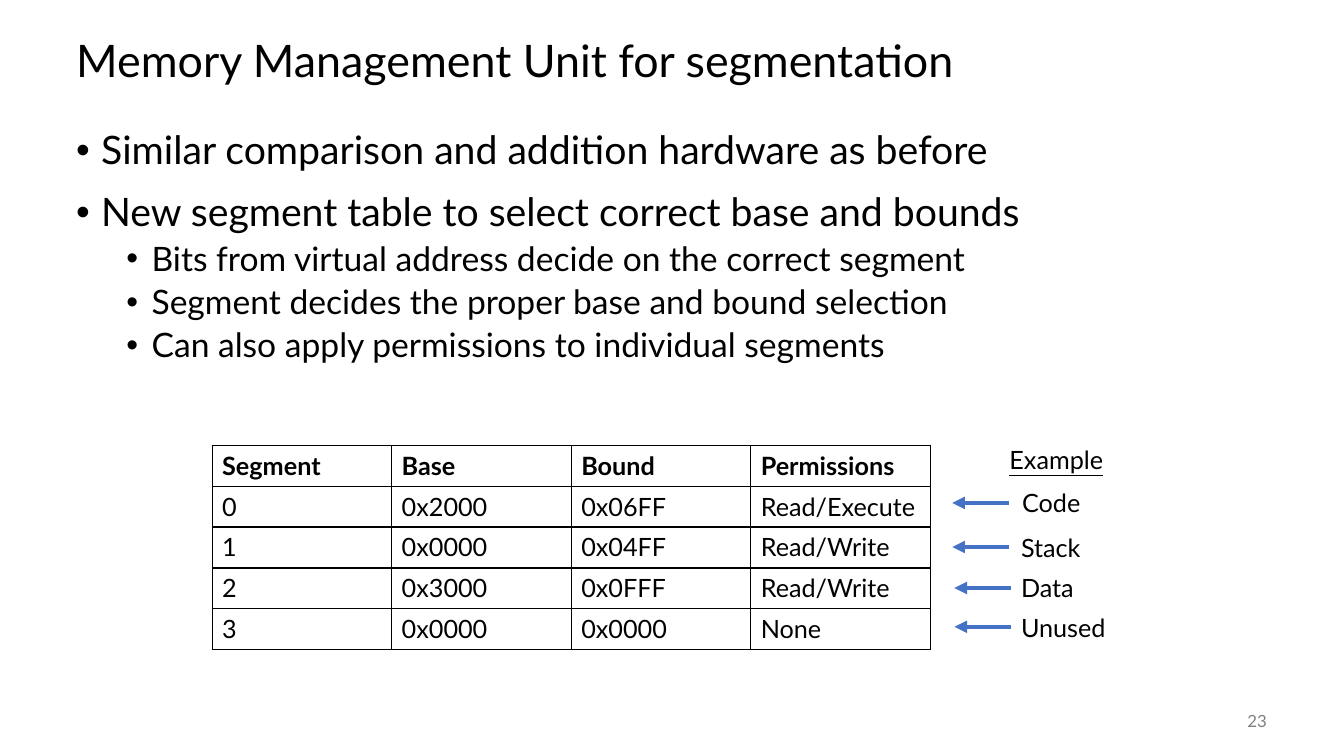
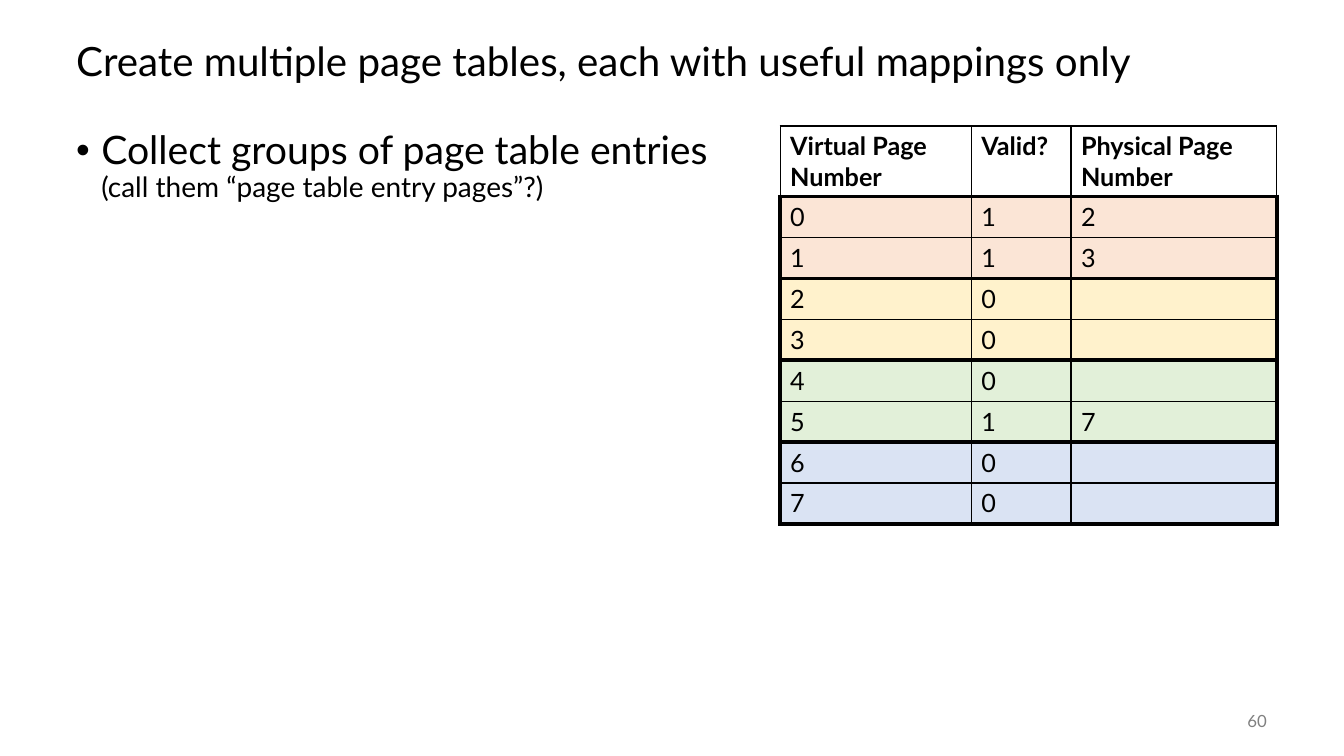
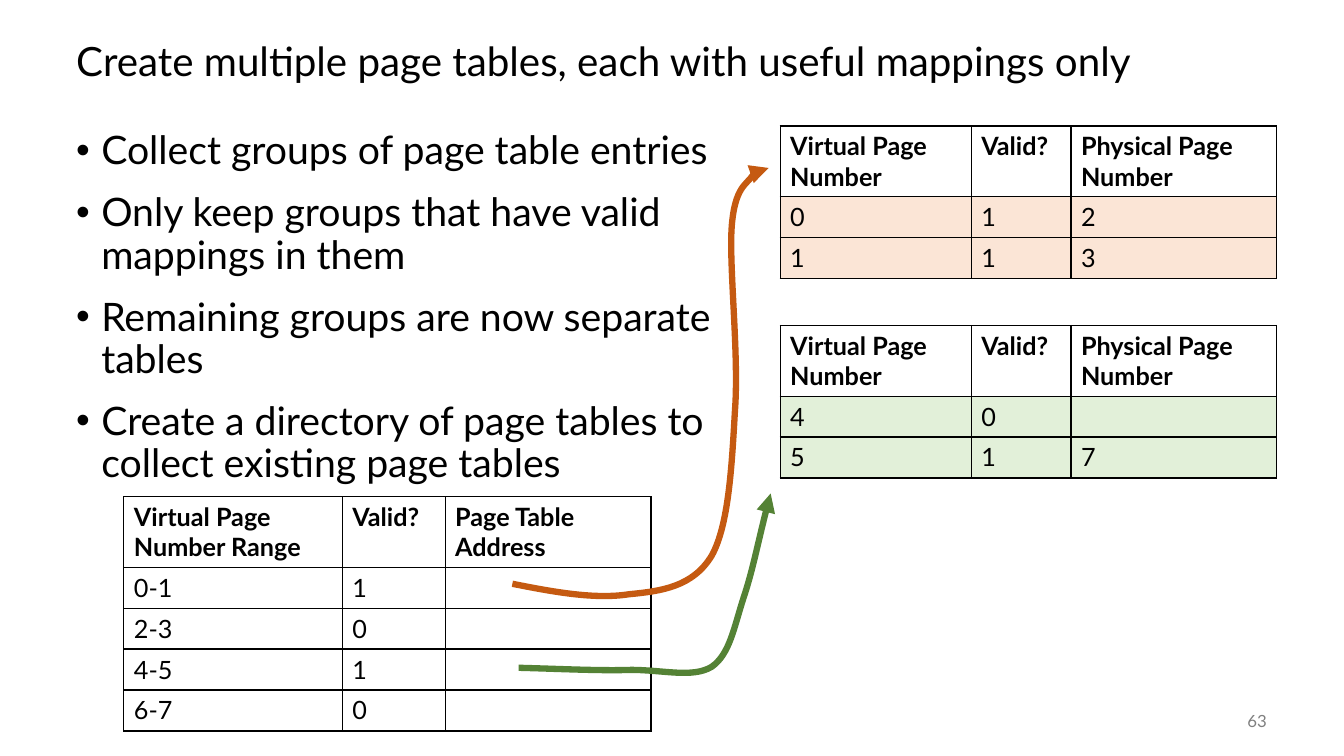
"""Build three slides on memory segmentation and multi-level page tables."""
from lxml import etree
from pptx import Presentation
from pptx.dml.color import RGBColor
from pptx.enum import shapes, text
from pptx.oxml.ns import qn
from pptx.util import Pt

PX = 9525
FONT = "Lato"
BLACK = RGBColor(0x00, 0x00, 0x00)
WHITE = RGBColor(0xFF, 0xFF, 0xFF)
GRAY = RGBColor(0x80, 0x80, 0x80)
BLUE = RGBColor(0x44, 0x72, 0xC4)
ORANGE = RGBColor(0xC5, 0x5A, 0x11)
GREEN = RGBColor(0x54, 0x82, 0x35)
PEACH = RGBColor(0xFB, 0xE5, 0xD6)
CREAM = RGBColor(0xFF, 0xF2, 0xCC)
MINT = RGBColor(0xE2, 0xF0, 0xD9)
SKY = RGBColor(0xDA, 0xE3, 0xF3)
LEFT, TOP, WIDTH = 63, 120, 1152
HEADER_H, ROW_H = 67, 39


def write(tf, words, size=18, color=BLACK, bold=False, underline=False,
          align=text.PP_ALIGN.LEFT, spacing=None, before=0, bullet=None):
    """Fill the empty first paragraph of a text frame, or add another one."""
    first = not tf.paragraphs[0].runs
    p = tf.paragraphs[0] if first else tf.add_paragraph()
    if bullet is not None:
        p.level = bullet
        pPr = p._p.get_or_add_pPr()
        pPr.set("marL", str((24 + 48 * bullet) * PX))
        pPr.set("indent", str(-24 * PX))
        etree.SubElement(pPr, qn("a:buFont")).set("typeface", "Arial")
        etree.SubElement(pPr, qn("a:buChar")).set("char", "•")
    p.alignment = align
    if spacing:
        p.line_spacing = spacing
    p.space_before = Pt(0 if first else before)
    r = p.add_run()
    r.text = words
    r.font.name, r.font.size, r.font.color.rgb = FONT, Pt(size), color
    r.font.bold, r.font.underline = bold, underline
    return p


def add_grid(s, x, y, cols, rows, fills, header_h=HEADER_H, paired=False):
    """Add a ruled table; paired draws a heavy frame round every two rows."""
    height = header_h + ROW_H * (len(rows) - 1)
    table = s.shapes.add_table(len(rows), len(cols), x * PX, y * PX,
                               sum(cols) * PX, height * PX).table
    table.first_row = table.horz_banding = False
    for col, width in zip(table.columns, cols):
        col.width = width * PX
    for i, row in enumerate(rows):
        table.rows[i].height = (ROW_H if i else header_h) * PX
        for j, words in enumerate(row):
            cell = table.cell(i, j)
            heavy = {"L": i and j == 0, "R": i and j == len(cols) - 1,
                     "T": i % 2 == 1, "B": i % 2 == 0}
            tcPr = cell._tc.get_or_add_tcPr()
            for side, thick in heavy.items():
                ln = etree.SubElement(tcPr, qn("a:ln" + side))
                ln.set("w", str(Pt(3 if paired and thick else 1)))
                solid = etree.SubElement(ln, qn("a:solidFill"))
                etree.SubElement(solid, qn("a:srgbClr")).set("val", str(BLACK))
            if i and fills:
                cell.fill.solid()
                cell.fill.fore_color.rgb = fills[i - 1]
            else:
                cell.fill.background()
            if words:
                write(cell.text_frame, words, bold=i == 0)


prs = Presentation()
prs.slide_width, prs.slide_height = 1280 * PX, 720 * PX

PAGES_TITLE = "Create multiple page tables, each with useful mappings only"
outline = [
    ("Memory Management Unit for segmentation", 32, "23", WIDTH, [
        (0, "Similar comparison and addition hardware as before"),
        (0, "New segment table to select correct base and bounds"),
        (1, "Bits from virtual address decide on the correct segment"),
        (1, "Segment decides the proper base and bound selection"),
        (1, "Can also apply permissions to individual segments")]),
    (PAGES_TITLE, 28.8, "60", 665, [
        (0, "Collect groups of page table entries")]),
    (PAGES_TITLE, 28.8, "63", 665, [
        (0, "Collect groups of page table entries"),
        (0, "Only keep groups that have valid mappings in them"),
        (0, "Remaining groups are now separate tables"),
        (0, "Create a directory of page tables to collect existing page tables")]),
]
slides, bodies = [], []
for title, title_size, number, body_w, bullets in outline:
    s = prs.slides.add_slide(prs.slide_layouts[5])
    sp = s.shapes.title
    sp.left, sp.top, sp.width, sp.height = LEFT * PX, 24 * PX, WIDTH * PX, 72 * PX
    tf = sp.text_frame
    tf.auto_size = text.MSO_AUTO_SIZE.NONE
    tf.vertical_anchor = text.MSO_ANCHOR.MIDDLE
    write(tf, title, size=title_size, spacing=0.9)

    tf = s.shapes.add_textbox(LEFT * PX, TOP * PX, body_w * PX, 528 * PX).text_frame
    tf.word_wrap = True
    for level, words in bullets:
        write(tf, words, size=(28, 24)[level], spacing=0.9,
              before=(14, 5)[level], bullet=level)
    bodies.append(tf)

    tf = s.shapes.add_textbox(1120 * PX, 667 * PX, 96 * PX, 38 * PX).text_frame
    tf.word_wrap = True
    tf.vertical_anchor = text.MSO_ANCHOR.MIDDLE
    write(tf, number, size=12, color=GRAY, align=text.PP_ALIGN.RIGHT)
    slides.append(s)
segments, groups, directory = slides
strokes = []

add_grid(segments, 202, 424, [171] * 4, [
    ["Segment", "Base", "Bound", "Permissions"],
    ["0", "0x2000", "0x06FF", "Read/Execute"],
    ["1", "0x0000", "0x04FF", "Read/Write"],
    ["2", "0x3000", "0x0FFF", "Read/Write"],
    ["3", "0x0000", "0x0000", "None"]], None, header_h=ROW_H)
labels = [("Example", 952, 418), ("Code", 964, 459), ("Stack", 963, 502),
          ("Data", 963, 540), ("Unused", 963, 578)]
for words, x, y in labels:
    tf = segments.shapes.add_textbox(x * PX, y * PX, 184 * PX, 38 * PX).text_frame
    tf.word_wrap = True
    write(tf, words, underline=words == "Example")
for x, y in [(961, 479), (961, 521), (963, 560), (963, 597)]:
    sp = segments.shapes.add_connector(shapes.MSO_CONNECTOR.STRAIGHT,
                                       x * PX, y * PX, (x - 54) * PX, y * PX)
    strokes.append((sp, BLUE, 3))

p = bodies[1].paragraphs[0]
p.add_line_break()
r = p.add_run()
r.text = "(call them “page table entry pages”?)"
r.font.name, r.font.size, r.font.color.rgb = FONT, Pt(20), BLACK

PAGE_COLS = [182, 95, 196]
PAGE_X = 743
page_header = ["Virtual Page Number", "Valid?", "Physical Page Number"]
frames = {0: "2", 1: "3", 5: "7"}
entries = [[str(n), "1" if n in frames else "0", frames.get(n, "")] for n in range(8)]
tints = [tint for tint in (PEACH, CREAM, MINT, SKY) for _ in range(2)]
add_grid(groups, PAGE_X, TOP, PAGE_COLS, [page_header] + entries, tints, paired=True)

add_grid(directory, 118, 473, [208, 98, 196], [
    ["Virtual Page Number Range", "Valid?", "Page Table Address"],
    ["0-1", "1", ""], ["2-3", "0", ""], ["4-5", "1", ""], ["6-7", "0", ""]],
    [WHITE] * 4)
for n, y in [(0, TOP), (4, 310)]:
    add_grid(directory, PAGE_X, y, PAGE_COLS, [page_header] + entries[n:n + 2],
             tints[n:n + 2])

curves = [
    (ORANGE, [(488, 556), (528, 564), (567, 571), (599, 566),
              (630, 563), (660, 559), (678, 529), (694, 500), (697, 444), (700, 391),
              (704, 338), (694, 252), (697, 215), (700, 178), (711, 176), (717, 167),
              (723, 157), (715, 158), (732, 160)]),
    (GREEN, [(494, 636), (533, 637), (571, 639), (601, 638),
             (632, 638), (660, 646), (678, 635), (695, 623), (699, 598), (708, 570),
             (717, 543), (722, 515), (734, 470)]),
]
for color, points in curves:
    builder = directory.shapes.build_freeform(*points[0], scale=PX)
    builder.add_line_segments(points[1:], close=False)
    sp = builder.convert_to_shape()
    sp.fill.background()
    outline_xml = sp._element.find(".//" + qn("a:path"))
    legs = outline_xml.findall(qn("a:lnTo"))
    for i in range(0, len(legs), 3):
        bezier = etree.SubElement(outline_xml, qn("a:cubicBezTo"))
        for leg in legs[i:i + 3]:
            bezier.append(leg[0])
            outline_xml.remove(leg)
    strokes.append((sp, color, 4.5))

for sp, color, weight in strokes:
    sp.line.color.rgb = color
    sp.line.width = Pt(weight)
    spPr = sp._element.spPr
    etree.SubElement(spPr.find(qn("a:ln")), qn("a:tailEnd")).set("type", "triangle")
    etree.SubElement(spPr, qn("a:effectLst"))

prs.save("out.pptx")
